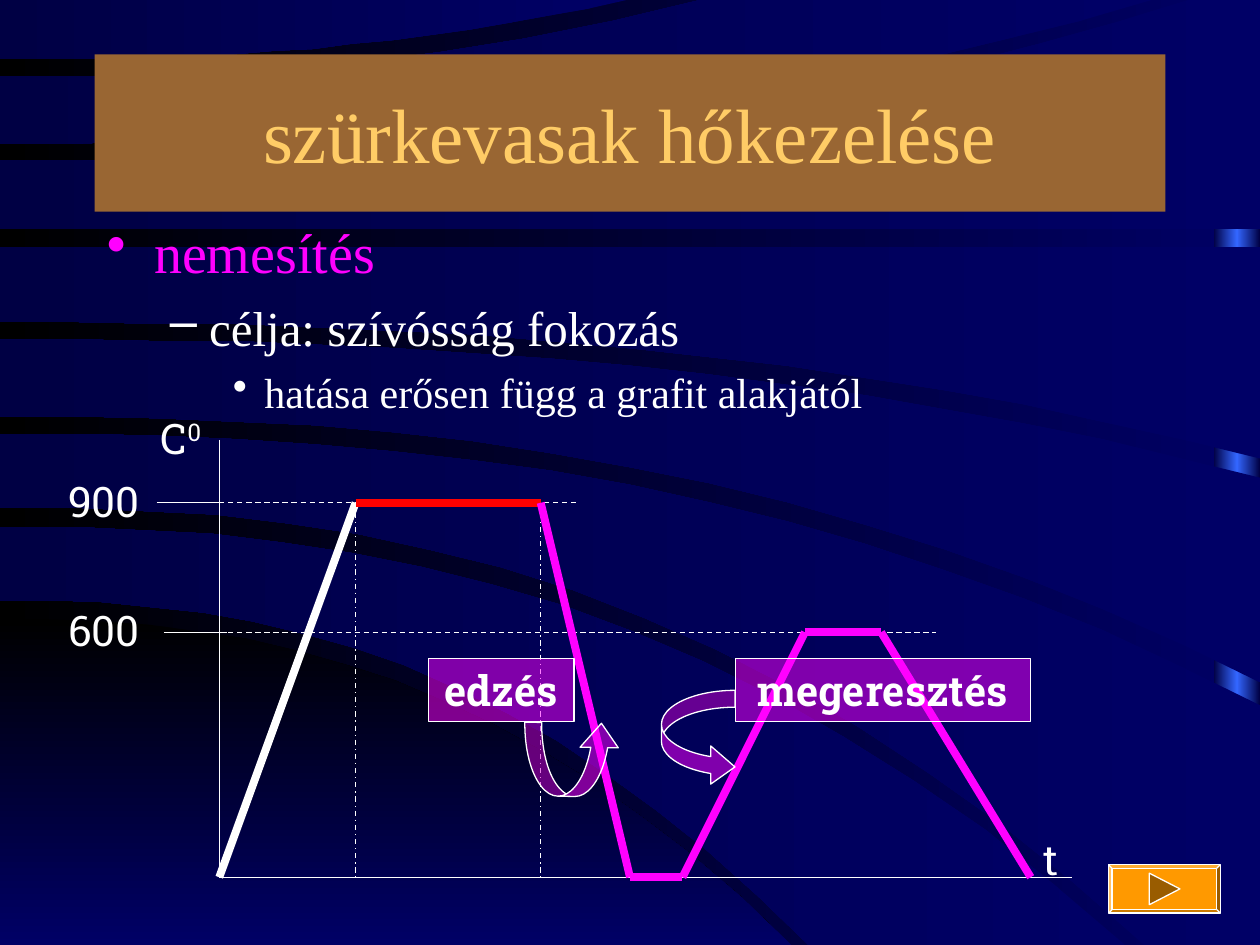
from itertools import pairwise
from copy import deepcopy

from lxml.etree import SubElement
from pptx import Presentation
from pptx.dml.color import RGBColor
from pptx.enum.dml import MSO_LINE as Dash
from pptx.enum.shapes import MSO_CONNECTOR, MSO_SHAPE as Shape
from pptx.enum.text import MSO_ANCHOR as Anchor, PP_ALIGN as Align
from pptx.oxml.ns import qn
from pptx.util import Pt

SERIF, SLAB = "Times New Roman", "Roboto Slab"
WHITE, MAGENTA, RED = "FFFFFF", "FF00FF", "FF0000"
NAVY, DEEP, BLACK = "000066", "000044", "000000"
W, H = 720, 540

# Upper and lower edge of each band: y at the left side, then x and y at its end
HILL = (354, 452, H), (H, 452, H)
BANDS = [
    ((301, 643, H), (343, 462, H)),
    ((248, W, 403), (290, 654, H)),
    ((194, W, 273), (238, W, 390)),
    ((141, W, 141), (184, W, 262)),
    ((92, 679, 0), (131, W, 131)),
    ((44, 400, 0), (82, 658, 0)),
    ((0, 358, 0), (34, 358, 0)),
]
BEND, STEPS = 2.4, 16

AXIS_X, GROUND, Y900, Y600 = 125.3, 501.3, 287.3, 361.3
SOAK_START, SOAK_END = 203.2, 309
HEAT_CURVE = [(AXIS_X, GROUND), (SOAK_START, Y900), (SOAK_END, Y900), (360, GROUND),
              (390, GROUND), (460, Y600), (503.5, Y600), (589, GROUND)]
CURVE_COLOURS = [WHITE, RED] + [MAGENTA] * 5

BULLETS = [
    ("nemesítés", "•", 32, MAGENTA, 27, -27, 0),
    ("célja: szívósság fokozás", "–", 28, WHITE, 58.5, -22.5, 7),
    ("hatása erősen függ a grafit alakjától", "•", 24, WHITE, 90, -18, 6),
]


def rgb(hex_colour):
    return RGBColor.from_string(hex_colour)


def set_font(target, colour, **values):
    for name, value in values.items():
        setattr(target.font, name, value)
    target.font.color.rgb = rgb(colour)


def set_gradient(fill, owner, colours, angle=180):
    """Spread the colours evenly; owner is the XML element that holds the fill."""
    fill.gradient()
    fill.gradient_angle = angle
    stop_list = owner.find(".//" + qn("a:gsLst"))
    for _ in colours[2:]:
        stop_list.append(deepcopy(stop_list[-1]))
    for i, (stop, colour) in enumerate(zip(fill.gradient_stops, colours)):
        stop.position = i / (len(colours) - 1)
        stop.color.rgb = rgb(colour)


def add_preset(slide, kind, box, colour=None, line=WHITE, alpha=None, adjust=(), turn=0):
    shape = slide.shapes.add_shape(kind, *map(Pt, box))
    shape.shadow.inherit = False
    shape.rotation = turn
    for i, value in enumerate(adjust):
        shape.adjustments[i] = value
    if colour:
        shape.fill.solid()
        shape.fill.fore_color.rgb = rgb(colour)
    if alpha:
        tint = shape.element.spPr.find(qn("a:solidFill"))[0]
        SubElement(tint, qn("a:alpha"), val=str(alpha * 1000))
    if line:
        shape.line.color.rgb = rgb(line)
        shape.line.width = Pt(0.75)
    else:
        shape.line.fill.background()
    return shape


def trace_edge(start_y, end_x, end_y):
    """Points of an edge that leaves the left side level and bends ever more."""
    return [(round(end_x * i / STEPS), round(start_y + (end_y - start_y) * (i / STEPS) ** BEND))
            for i in range(STEPS + 1)]


def add_band(slide, upper, lower, colours, angle=180):
    shorter, longer = sorted((upper, lower), key=lambda edge: edge[1])
    corner = (longer[1], shorter[2])
    points = trace_edge(*upper) + [corner] + trace_edge(*lower)[::-1]
    builder = slide.shapes.build_freeform(*points[0], scale=Pt(1))
    builder.add_line_segments(points[1:], close=True)
    band = builder.convert_to_shape()
    band.shadow.inherit = False
    band.line.fill.background()
    set_gradient(band.fill, band.element, colours, angle)


def add_line(slide, start, end, colour=WHITE, width=0.75, dash=None):
    line = slide.shapes.add_connector(MSO_CONNECTOR.STRAIGHT, *map(Pt, start + end))
    line.line.color.rgb = rgb(colour)
    line.line.width = Pt(width)
    line.line.dash_style = dash
    SubElement(line.element.spPr, qn("a:effectLst"))


def write_label(shape, text, bold=False, raised=""):
    """Centre one line in the shape, with an optional superscript after it."""
    frame = shape.text_frame
    frame.word_wrap = False
    frame.vertical_anchor = Anchor.MIDDLE
    paragraph = frame.paragraphs[0]
    paragraph.alignment = Align.CENTER
    for part in filter(None, (text, raised)):
        run = paragraph.add_run()
        run.text = part
        set_font(run, WHITE, name=SLAB, size=Pt(24), bold=bold)
    if raised:
        run._r.get_or_add_rPr().set("baseline", "30000")


def add_background(slide):
    set_gradient(slide.background.fill, slide.element, [NAVY, BLACK])
    stripe = add_preset(slide, Shape.RECTANGLE, (693.5, 0, 26.5, H), line=None)
    set_gradient(stripe.fill, stripe.element, [DEEP, "3366FF", DEEP])
    add_band(slide, *HILL, [BLACK, NAVY], 270)
    for upper, lower in BANDS:
        add_band(slide, upper, lower, [NAVY, DEEP])


def format_title(slide):
    title = slide.shapes.title
    slide.shapes.element.append(title.element)  # in front of the background
    for name, value in dict(left=54, top=31, width=612, height=90).items():
        setattr(title, name, Pt(value))
    title.fill.solid()
    title.fill.fore_color.rgb = rgb("996633")
    title.text_frame.text = "szürkevasak hőkezelése"
    title.text_frame.vertical_anchor = Anchor.MIDDLE
    paragraph = title.text_frame.paragraphs[0]
    paragraph.alignment = Align.CENTER
    set_font(paragraph, "FFCC66", name=SERIF, size=Pt(44))


def add_bullets(slide):
    frame = slide.shapes.add_textbox(*map(Pt, (54, 121, 612, 125))).text_frame
    frame.word_wrap = True
    for i, (text, mark, size, colour, margin, indent, gap) in enumerate(BULLETS):
        paragraph = frame.add_paragraph() if i else frame.paragraphs[0]
        paragraph.text = text
        paragraph.level = i
        paragraph.space_before = Pt(gap)
        props = paragraph._p.get_or_add_pPr()
        props.set("marL", str(Pt(margin)))
        props.set("indent", str(Pt(indent)))
        tint = SubElement(props, qn("a:buClr"))
        SubElement(tint, qn("a:srgbClr"), val=colour)
        SubElement(props, qn("a:buChar"), char=mark)
        set_font(paragraph, colour, name=SERIF, size=Pt(size))


def add_diagram(slide):
    add_line(slide, (AXIS_X, 251.3), (AXIS_X, GROUND))
    add_line(slide, (AXIS_X, GROUND), (612.7, GROUND))
    for y, tick, end in ((Y900, 89.5, 329), (Y600, 93.6, 535)):
        add_line(slide, (tick, y), (tick + 36, y))
        add_line(slide, (AXIS_X, y), (end, y), dash=Dash.DASH)
    for x in (SOAK_START, SOAK_END):
        add_line(slide, (x, 293), (x, GROUND), dash=Dash.DASH_DOT)
    for (start, end), colour in zip(pairwise(HEAT_CURVE), CURVE_COLOURS):
        add_line(slide, start, end, colour, 4.5)
    for text, raised, left, top, width in (("900", "", 30, 268, 59), ("600", "", 30, 342, 59),
                                           ("C", "0", 78.5, 232, 50), ("t", "", 589, 473, 23)):
        box = slide.shapes.add_textbox(*map(Pt, (left, top, width, 36)))
        write_label(box, text, raised=raised)


def add_callouts(slide):
    for text, left, width, arrow_left, arrow_top, turn in (
            ("megeresztés", 420.3, 168.5, 378, 394.5, 0),
            ("edzés", 244.8, 83.3, 306, 406.7, 270.8)):
        label = add_preset(slide, Shape.RECTANGLE, (left, 376.3, width, 36), MAGENTA, alpha=50)
        write_label(label, text, bold=True)
        add_preset(slide, Shape.CURVED_RIGHT_ARROW, (arrow_left, arrow_top, 42, 54.7), MAGENTA,
                   alpha=50, adjust=(0.23, 0.52, 0.33), turn=turn)


def add_next_button(slide):
    add_preset(slide, Shape.BEVEL, (633.5, 494.2, 63.8, 27.6), "FF9900", adjust=(0.07,))
    add_preset(slide, Shape.ISOSCELES_TRIANGLE, (656.5, 499.2, 18, 17.5), "995C00", turn=90)


def main():
    deck = Presentation()
    deck.slide_width, deck.slide_height = Pt(W), Pt(H)
    slide = deck.slides.add_slide(deck.slide_layouts[5])
    add_background(slide)
    format_title(slide)
    add_bullets(slide)
    add_diagram(slide)
    add_callouts(slide)
    add_next_button(slide)
    deck.save("out.pptx")


if __name__ == "__main__":
    main()
